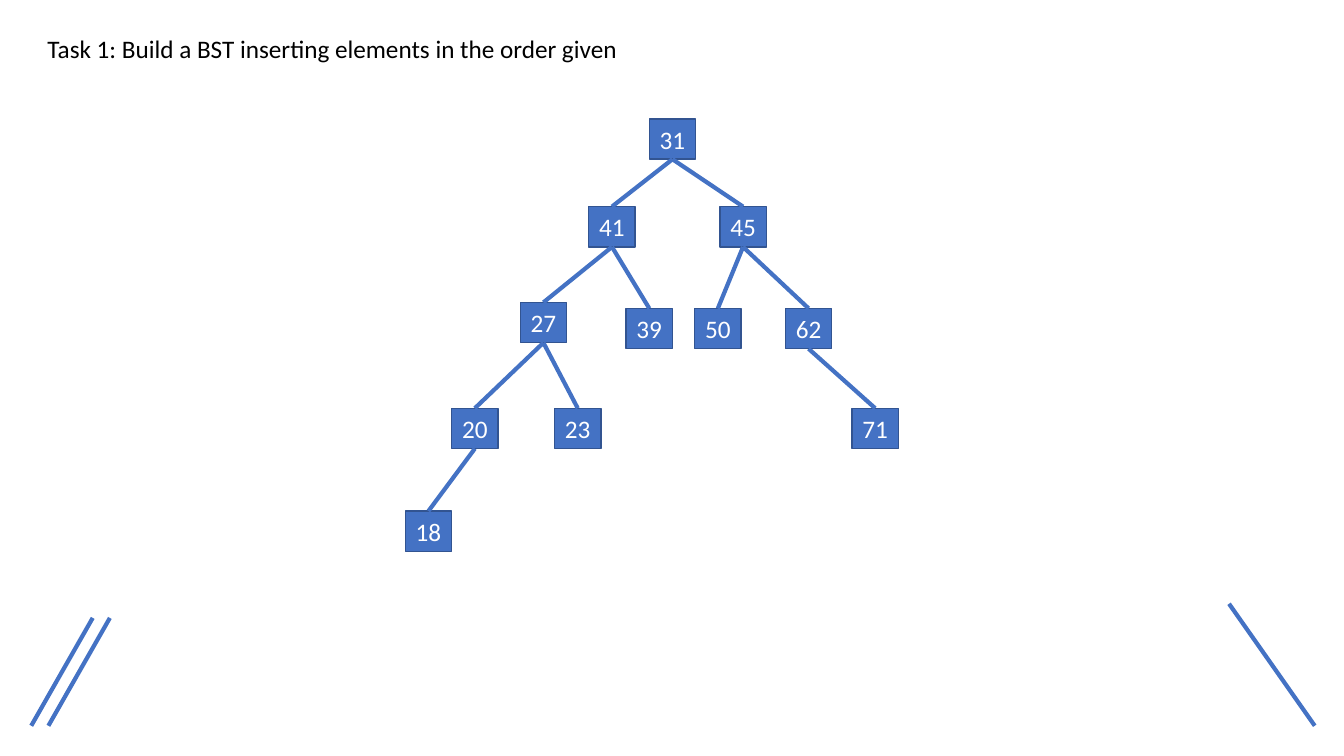
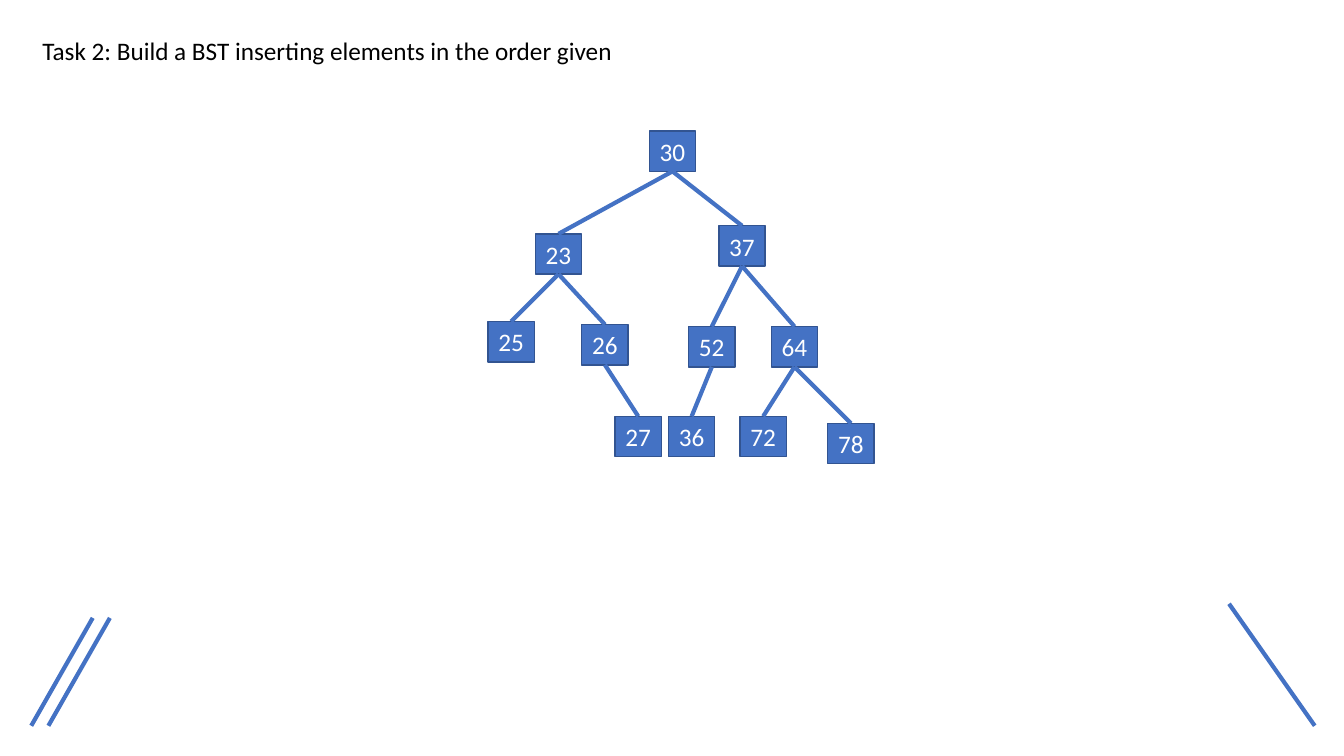
from dataclasses import dataclass
from lxml.etree import SubElement
from pptx import Presentation
from pptx.dml.color import RGBColor
from pptx.enum.shapes import MSO_CONNECTOR, MSO_SHAPE
from pptx.enum.text import MSO_ANCHOR, MSO_AUTO_SIZE, PP_ALIGN
from pptx.oxml.ns import qn
from pptx.util import Inches, Pt

TASKS = [
    {
        "title": "Task 1: Build a BST inserting elements in the order given",
        "at": (0.37, 0.28),
        "nodes": [
            ("31", None, 6.44, 1.18),
            ("41", "31", 5.84, 2.05),
            ("45", "31", 7.14, 2.05),
            ("27", "41", 5.16, 3),
            ("39", "41", 6.21, 3.06),
            ("50", "45", 6.89, 3.06),
            ("62", "45", 7.79, 3.06),
            ("20", "27", 4.48, 4.05),
            ("23", "27", 5.5, 4.05),
            ("71", "62", 8.45, 4.05),
            ("18", "20", 4.02, 5.07),
        ],
    },
    {
        "title": "Task 2: Build a BST inserting elements in the order given",
        "at": (0.32, 0.3),
        "nodes": [
            ("30", None, 6.44, 1.3),
            ("23", "30", 5.31, 2.32),
            ("37", "30", 7.13, 2.24),
            ("25", "23", 4.84, 3.19),
            ("26", "23", 5.77, 3.22),
            ("52", "37", 6.83, 3.24),
            ("64", "37", 7.65, 3.24),
            ("27", "26", 6.1, 4.13),
            ("36", "52", 6.63, 4.13),
            ("72", "64", 7.34, 4.13),
            ("78", "64", 8.21, 4.2),
        ],
    },
]

STROKES = [
    (0.92, 6.13, 0.31, 7.2),
    (1.09, 6.13, 0.48, 7.2),
    (12.19, 5.99, 13.04, 7.2),
]
TITLE_SIZE = (5.92, 0.4)
NODE_SIZE = (0.46, 0.4)
BOTTOM, TOP = 2, 0


@dataclass(frozen=True)
class Theme:
    font: str = "Calibri"
    size: Pt = Pt(18)
    blue: RGBColor = RGBColor(0x44, 0x72, 0xC4)
    edge: RGBColor = RGBColor(0x32, 0x54, 0x91)
    white: RGBColor = RGBColor(0xFF, 0xFF, 0xFF)
    black: RGBColor = RGBColor(0, 0, 0)
    thin: Pt = Pt(1)
    thick: Pt = Pt(3)


THEME = Theme()


def write(shape, text, color, align):
    frame = shape.text_frame
    frame.text = text
    frame.word_wrap = False
    frame.auto_size = MSO_AUTO_SIZE.NONE
    frame.vertical_anchor = MSO_ANCHOR.MIDDLE
    line = frame.paragraphs[0]
    line.alignment = align
    line.font.name = THEME.font
    line.font.size = THEME.size
    line.font.color.rgb = color


def add_title(slide, text, spot):
    title = slide.shapes.title
    title.left, title.top = map(Inches, spot)
    title.width, title.height = map(Inches, TITLE_SIZE)
    write(title, text, THEME.black, PP_ALIGN.LEFT)


def add_line(slide, ends=(0, 0, 0, 0)):
    line = slide.shapes.add_connector(MSO_CONNECTOR.STRAIGHT, *map(Inches, ends))
    line.line.color.rgb = THEME.blue
    line.line.width = THEME.thick
    SubElement(line._element.spPr, qn("a:effectLst"))
    return line


def add_node(slide, text, left, top):
    node = slide.shapes.add_shape(
        MSO_SHAPE.RECTANGLE, *map(Inches, (left, top, *NODE_SIZE))
    )
    node.shadow.inherit = False
    node.fill.solid()
    node.fill.fore_color.rgb = THEME.blue
    node.line.color.rgb = THEME.edge
    node.line.width = THEME.thin
    write(node, text, THEME.white, PP_ALIGN.CENTER)
    return node


def add_tree(slide, nodes):
    boxes = {key: add_node(slide, key, left, top) for key, _, left, top in nodes}
    for key, parent, _, _ in nodes:
        if parent:
            line = add_line(slide)
            line.begin_connect(boxes[parent], BOTTOM)
            line.end_connect(boxes[key], TOP)


def main():
    deck = Presentation()
    deck.slide_width, deck.slide_height = Inches(13.33), Inches(7.5)
    layout = deck.slide_layouts.get_by_name("Title Only")
    for task in TASKS:
        slide = deck.slides.add_slide(layout)
        add_title(slide, task["title"], task["at"])
        add_tree(slide, task["nodes"])
        for ends in STROKES:
            add_line(slide, ends)
    deck.save("out.pptx")


if __name__ == "__main__":
    main()
